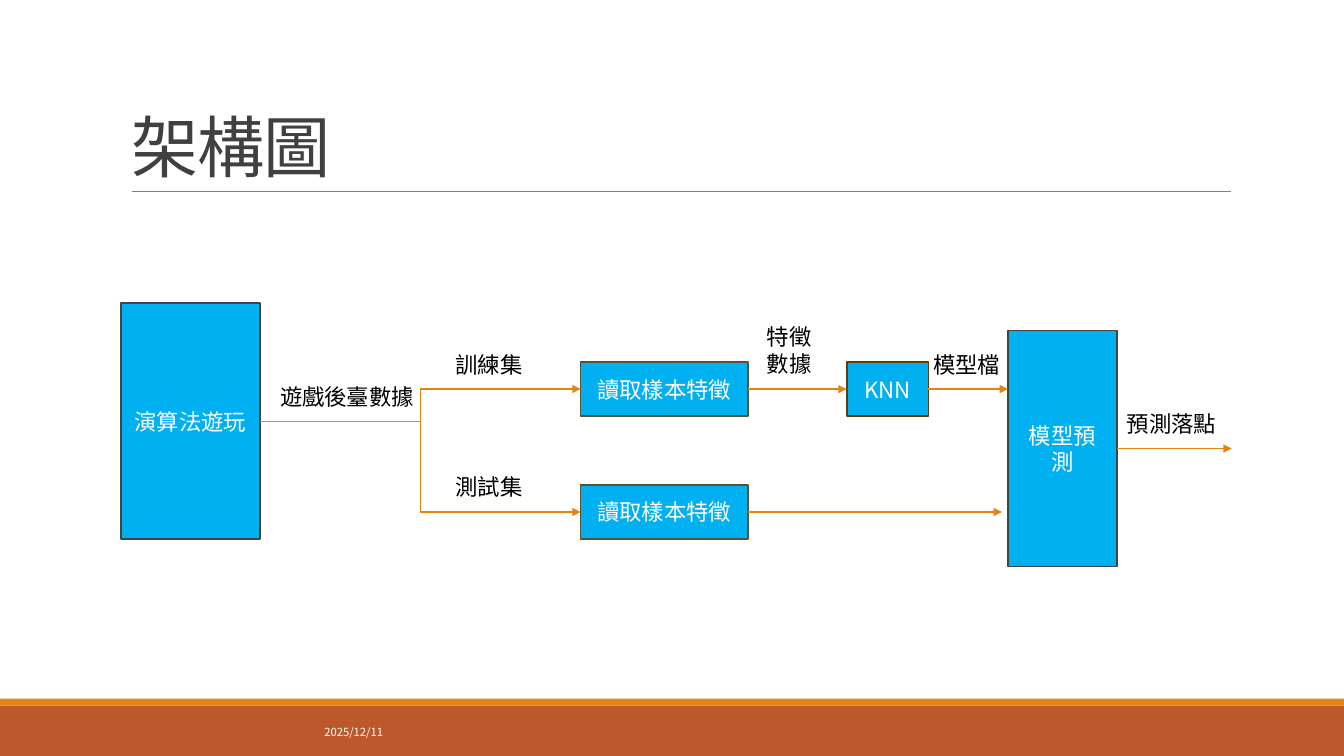
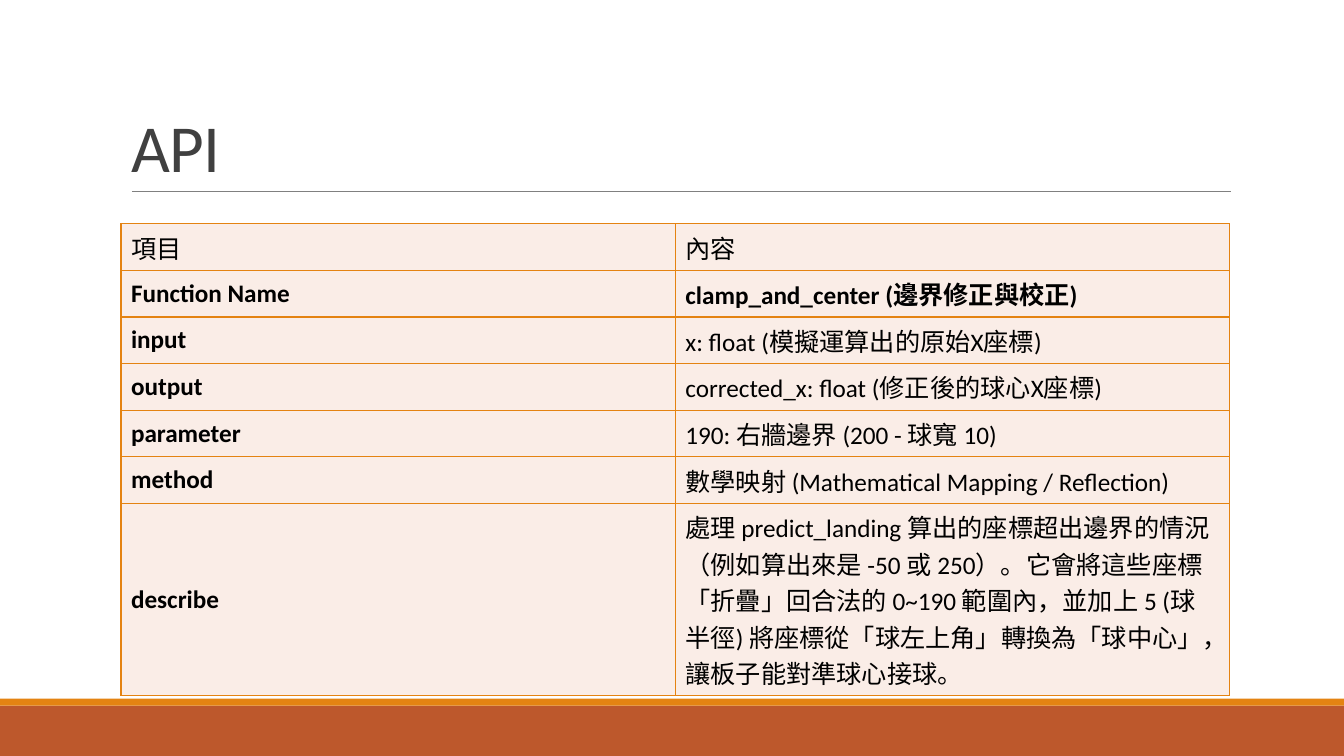
from dataclasses import dataclass, field
from typing import Any, NamedTuple, Optional

import lxml.etree
import pptx
import pptx.dml.color
import pptx.enum.shapes
import pptx.enum.text
import pptx.oxml.ns
import pptx.util

SLIDE_WIDTH = pptx.util.Inches(40 / 3)
SLIDE_HEIGHT = pptx.util.Inches(7.5)
Align = pptx.enum.text.PP_ALIGN
Anchor = pptx.enum.text.MSO_ANCHOR
Connector = pptx.enum.shapes.MSO_CONNECTOR
LEFT_SIDE, RIGHT_SIDE = 1, 3


@dataclass(frozen=True)
class Theme:
    white: str = "FFFFFF"
    black: str = "000000"
    title: str = "404040"
    rule: str = "808080"
    band: str = "BD582C"
    accent: str = "E48312"
    node: str = "00B0F0"
    tall_outline: str = "41463C"
    sample_outline: str = "555238"
    model_outline: str = "643908"
    cell: str = "FAEDE7"
    latin: str = "Calibri"
    chinese: str = "Noto Sans CJK SC"
    traditional: str = "Noto Sans CJK TC"
    title_size: float = 48
    table_size: float = 18
    diagram_size: float = 16
    date_size: float = 8
    rule_width: float = 0.5
    arrow_width: float = 1
    outline_width: float = 1.25


THEME = Theme()


class Area(NamedTuple):
    """Percentages of the slide's width and height."""
    left: float
    top: float
    width: float
    height: float

    def box(self) -> tuple[int, int, int, int]:
        return (across(self.left), down(self.top), across(self.width), down(self.height))


class TextStyle(NamedTuple):
    size: float
    color: str
    latin: str = THEME.chinese
    asian: str = THEME.chinese
    bold: bool = False


class Node(NamedTuple):
    name: str
    text: str
    area: Area
    outline: str


class Label(NamedTuple):
    text: str
    area: Area


@dataclass(frozen=True)
class Arrow:
    start: str
    end: Optional[str] = None
    reach: float = 0
    kind: Any = field(default=Connector.STRAIGHT)


def across(share: float) -> int:
    return round(SLIDE_WIDTH * share / 100)


def down(share: float) -> int:
    return round(SLIDE_HEIGHT * share / 100)


def color_of(value: str) -> pptx.dml.color.RGBColor:
    return pptx.dml.color.RGBColor.from_string(value)


def apply_format(target: Any, values: dict[str, Any]) -> None:
    for name, value in values.items():
        setattr(target, name, value)


def add_child(parent: Any, tag: str, **attributes: str) -> Any:
    return lxml.etree.SubElement(parent, pptx.oxml.ns.qn(tag), attributes)


def write(frame: Any, text: str, style: TextStyle, frame_format: dict[str, Any],
          paragraph_format: dict[str, Any]) -> Any:
    apply_format(frame, frame_format)
    paragraph = frame.paragraphs[0]
    apply_format(paragraph, paragraph_format)
    run = paragraph.add_run()
    run.text = text
    apply_format(run.font, {
        "size": pptx.util.Pt(style.size), "name": style.latin, "bold": style.bold})
    run.font.color.rgb = color_of(style.color)
    properties = run._r.get_or_add_rPr()
    add_child(properties, "a:ea", typeface=style.asian)
    return properties


def add_rectangle(slide: Any, area: Area, fill: str, outline: Optional[str] = None) -> Any:
    shape = slide.shapes.add_shape(pptx.enum.shapes.MSO_SHAPE.RECTANGLE, *area.box())
    shape.shadow.inherit = False
    shape.fill.solid()
    shape.fill.fore_color.rgb = color_of(fill)
    if outline:
        shape.line.color.rgb = color_of(outline)
        shape.line.width = pptx.util.Pt(THEME.outline_width)
    else:
        shape.line.fill.background()
    return shape


def style_line(connector: Any, color: str, width: float, arrowhead: bool = False) -> None:
    connector.line.color.rgb = color_of(color)
    connector.line.width = pptx.util.Pt(width)
    if arrowhead:
        add_child(connector.line._get_or_add_ln(), "a:tailEnd", type="triangle")
    add_child(connector.element.spPr, "a:effectLst")


def add_text(slide: Any, text: str, area: Area, style: TextStyle,
             anchor: Any = Anchor.TOP, alignment: Any = Align.LEFT) -> None:
    shape = slide.shapes.add_textbox(*area.box())
    write(shape.text_frame, text, style, {"word_wrap": True, "vertical_anchor": anchor},
          {"alignment": alignment})


def add_slide(presentation: Any, title: str, latin: str) -> Any:
    slide = presentation.slides.add_slide(presentation.slide_layouts[5])
    add_rectangle(slide, Area(0, 93.33, 100, 6.67), THEME.band)
    add_rectangle(slide, Area(0, 92.4, 100, 0.93), THEME.accent)
    rule = slide.shapes.add_connector(
        Connector.STRAIGHT, across(9.82), down(25.33), across(91.58), down(25.33))
    style_line(rule, THEME.rule, THEME.rule_width)
    placeholder = slide.shapes.title
    left, top, width, height = Area(9, 4.13, 82.5, 21.2).box()
    apply_format(placeholder, {"left": left, "top": top, "width": width, "height": height})
    properties = write(
        placeholder.text_frame, title, TextStyle(THEME.title_size, THEME.title, latin),
        {"vertical_anchor": Anchor.BOTTOM, "word_wrap": True,
         "auto_size": pptx.enum.text.MSO_AUTO_SIZE.NONE},
        {"alignment": Align.LEFT, "line_spacing": 0.85})
    properties.set("spc", "-50")
    return slide


NODES = (
    Node("play", "演算法遊玩", Area(9, 40.13, 10.35, 31.2), THEME.tall_outline),
    Node("train", "讀取樣本特徵", Area(43.2, 47.87, 12.45, 7.2), THEME.sample_outline),
    Node("test", "讀取樣本特徵", Area(43.2, 64.13, 12.45, 7.2), THEME.sample_outline),
    Node("knn", "KNN", Area(63, 47.87, 6.08, 7.2), THEME.model_outline),
    Node("predict", "模型預測", Area(75, 43.73, 8.1, 31.2), THEME.tall_outline),
)

LABELS = (
    Label("遊戲後臺數據", Area(20.1, 50, 11.78, 4.93)),
    Label("訓練集", Area(33.15, 45.73, 6.9, 4.93)),
    Label("測試集", Area(33.15, 61.87, 6.9, 4.93)),
    Label("特徵數據", Area(56.33, 42.13, 5.18, 8.53)),
    Label("模型檔", Area(68.7, 45.73, 6.75, 4.93)),
    Label("預測落點", Area(83.1, 53.6, 8.55, 4.93)),
)

ARROWS = (
    Arrow("play", "train", kind=Connector.ELBOW),
    Arrow("play", "test", kind=Connector.ELBOW),
    Arrow("train", "knn"),
    Arrow("knn", reach=75),
    Arrow("test", reach=74.55),
    Arrow("predict", reach=91.65),
)

API_ROWS = (
    ("項目", "內容"),
    ("Function Name", "clamp_and_center (邊界修正與校正)"),
    ("input", "x: float (模擬運算出的原始X座標)"),
    ("output", "corrected_x: float (修正後的球心X座標)"),
    ("parameter", "190: 右牆邊界 (200 - 球寬 10)"),
    ("method", "數學映射 (Mathematical Mapping / Reflection)"),
    ("describe", "處理 predict_landing 算出的座標超出邊界的情況（例如算出來是 -50 或 250）。"
     "它會將這些座標「折疊」回合法的 0~190 範圍內，並加上 5 (球半徑) "
     "將座標從「球左上角」轉換為「球中心」，讓板子能對準球心接球。"),
)


def add_arrow(slide: Any, arrow: Arrow, shapes: dict[str, Any]) -> None:
    start = shapes[arrow.start]
    begin_x, begin_y = start.left + start.width, start.top + start.height // 2
    end_x, end_y = across(arrow.reach), begin_y
    if arrow.end:
        end = shapes[arrow.end]
        end_x, end_y = end.left, end.top + end.height // 2
    connector = slide.shapes.add_connector(arrow.kind, begin_x, begin_y, end_x, end_y)
    connector.begin_connect(start, RIGHT_SIDE)
    if arrow.end:
        connector.end_connect(shapes[arrow.end], LEFT_SIDE)
    style_line(connector, THEME.accent, THEME.arrow_width, arrowhead=True)


def build_architecture(presentation: Any) -> None:
    slide = add_slide(presentation, "架構圖", THEME.chinese)
    add_text(slide, "2025/12/11", Area(9, 94.13, 20.25, 5.33),
             TextStyle(THEME.date_size, THEME.white, THEME.traditional, THEME.traditional),
             Anchor.MIDDLE, Align.RIGHT)
    shapes = {}
    for node in NODES:
        shape = add_rectangle(slide, node.area, THEME.node, node.outline)
        write(shape.text_frame, node.text, TextStyle(THEME.diagram_size, THEME.white),
              {"word_wrap": True, "vertical_anchor": Anchor.MIDDLE},
              {"alignment": Align.CENTER})
        shapes[node.name] = shape
    for label in LABELS:
        add_text(slide, label.text, label.area, TextStyle(THEME.diagram_size, THEME.black))
    for arrow in ARROWS:
        add_arrow(slide, arrow, shapes)


def format_cell(cell: Any, text: str, bold: bool) -> None:
    properties = cell._tc.get_or_add_tcPr()
    for side in ("a:lnL", "a:lnR", "a:lnT", "a:lnB"):
        border = add_child(properties, side, w=str(pptx.util.Pt(THEME.arrow_width)))
        add_child(add_child(border, "a:solidFill"), "a:srgbClr", val=THEME.accent)
    cell.fill.solid()
    cell.fill.fore_color.rgb = color_of(THEME.cell)
    cell.vertical_anchor = Anchor.MIDDLE
    style = TextStyle(THEME.table_size, THEME.black, THEME.latin, THEME.traditional, bold)
    write(cell.text_frame, text, style, {}, {"alignment": Align.LEFT})


def build_api(presentation: Any) -> None:
    slide = add_slide(presentation, "API", THEME.latin)
    row_height, last_height = 6.16, 25.4
    area = Area(9, 29.6, 82.5, row_height * (len(API_ROWS) - 1) + last_height)
    table = slide.shapes.add_table(len(API_ROWS), len(API_ROWS[0]), *area.box()).table
    apply_format(table, {"first_row": False, "horz_banding": False})
    for row in table.rows:
        row.height = down(row_height)
    table.rows[len(API_ROWS) - 1].height = down(last_height)
    for row_index, texts in enumerate(API_ROWS):
        for column_index, text in enumerate(texts):
            bold = row_index == 1 or (row_index > 1 and column_index == 0)
            format_cell(table.cell(row_index, column_index), text, bold)


def main() -> None:
    presentation = pptx.Presentation()
    apply_format(presentation, {"slide_width": SLIDE_WIDTH, "slide_height": SLIDE_HEIGHT})
    build_architecture(presentation)
    build_api(presentation)
    presentation.save("out.pptx")


if __name__ == "__main__":
    main()
